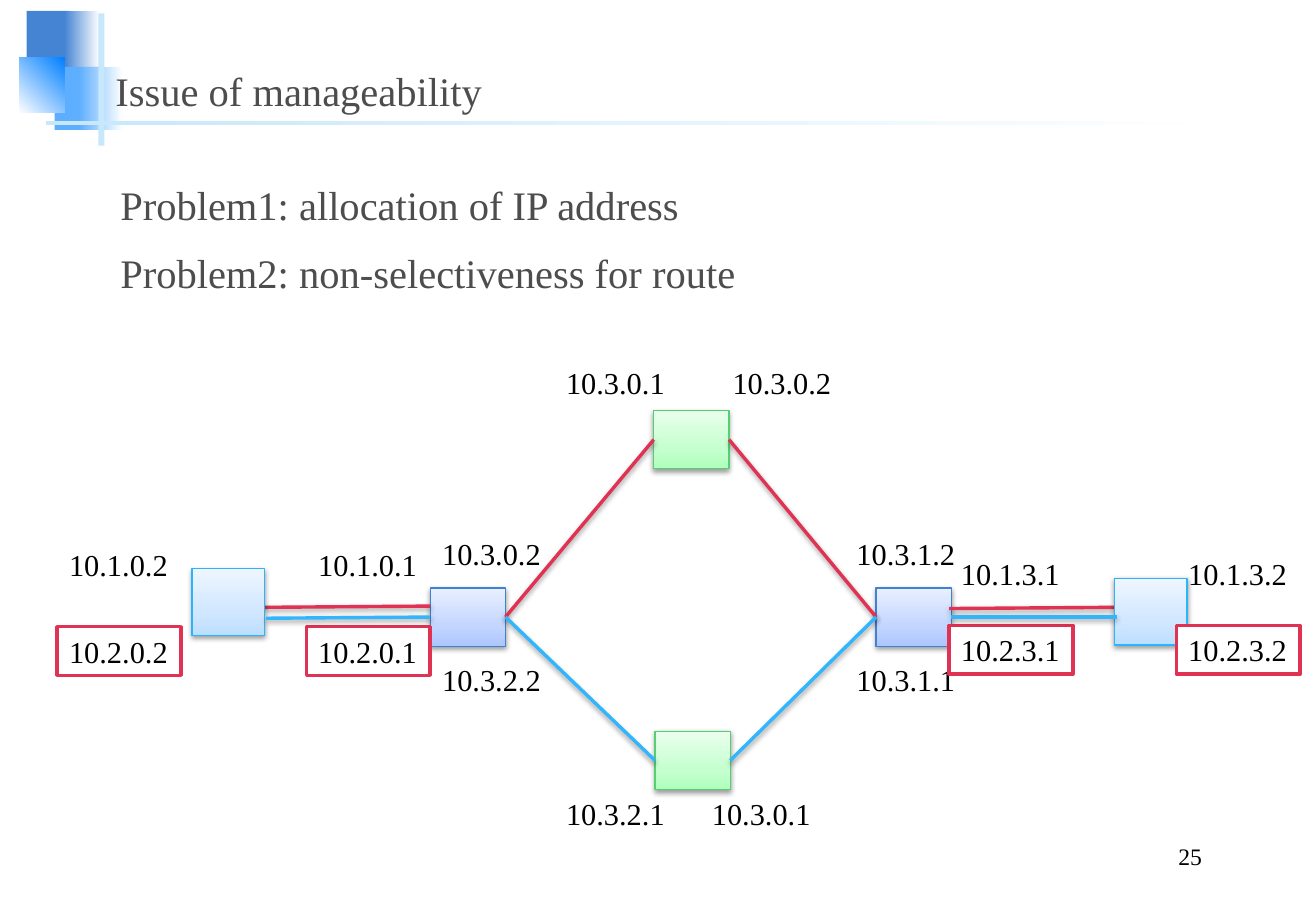
import lxml.etree
import pptx
import pptx.dml.color
import pptx.enum.shapes
import pptx.enum.text
import pptx.oxml.ns
import pptx.util

PX = 9144
FONT = "Times New Roman"
COLORS = {
    "navy": "4584D3", "sky": "5EAEFF", "azure": "0080FF", "pale": "C6E7FC",
    "white": "FFFFFF", "gray": "4D4D4D", "black": "000000",
    "red": "E03253", "blue": "31B6FD",
    "hub_line": "4081D2", "relay_line": "56CE74", "host_line": "2BB4FC",
    "hub_dark": "ACC6FF", "hub_mid": "C4D6FF", "hub_light": "E9EFFF",
    "relay_dark": "AEFFBC", "relay_mid": "C6FFCF", "relay_light": "E9FFEC",
    "host_dark": "BDDEFF", "host_mid": "D1E7FF", "host_light": "EEF6FF",
}
qn = pptx.oxml.ns.qn
sub = lxml.etree.SubElement
ALIGN = pptx.enum.text.PP_ALIGN
ANCHOR = pptx.enum.text.MSO_ANCHOR
FIT = pptx.enum.text.MSO_AUTO_SIZE
RECT = pptx.enum.shapes.MSO_SHAPE.RECTANGLE
STRAIGHT = pptx.enum.shapes.MSO_CONNECTOR.STRAIGHT
TOP, LEFT, BOTTOM, RIGHT = range(4)


def rgb(name):
    return pptx.dml.color.RGBColor.from_string(COLORS[name])


class Deck:
    def __init__(self, width, height):
        self.prs = pptx.Presentation()
        self.prs.slide_width, self.prs.slide_height = width * PX, height * PX
        self.slide = self.prs.slides.add_slide(self.prs.slide_layouts[1])
        self.shapes = self.slide.shapes

    def style(self, p, size, color):
        for r in p.runs:
            r.font.size = pptx.util.Pt(size)
            r.font.name = FONT
            r.font.color.rgb = rgb(color)

    def outline(self, s, color, width):
        s.line.color.rgb = rgb(color)
        s.line.width = pptx.util.Pt(width)

    def drop_shadow(self, s):
        effects = s._element.spPr.find(qn("a:effectLst"))
        if effects is None:
            effects = sub(s._element.spPr, qn("a:effectLst"))
        shadow = sub(effects, qn("a:outerShdw"), blurRad="40000",
                     dist="20000", dir="5400000", rotWithShape="0")
        color = sub(shadow, qn("a:srgbClr"), val=COLORS["black"])
        sub(color, qn("a:alpha"), val="38000")

    def rect(self, x, y, w, h, stops, angle=0):
        s = self.shapes.add_shape(RECT, x * PX, y * PX, w * PX, h * PX)
        s.shadow.inherit = False
        s.line.fill.background()
        if len(stops) == 1:
            s.fill.solid()
            s.fill.fore_color.rgb = rgb(stops[0])
            return s
        s.fill.gradient()
        s.fill.gradient_angle = angle
        stop_list = s._element.spPr.find(".//" + qn("a:gsLst"))
        stop_list.clear()
        positions = (0, 100) if len(stops) == 2 else (0, 35, 100)
        for position, name in zip(positions, stops):
            gs = sub(stop_list, qn("a:gs"), pos=str(position * 1000))
            sub(gs, qn("a:srgbClr"), val=COLORS[name])
        return s

    def node(self, kind, x, y, w, h):
        stops = [f"{kind}_{tone}" for tone in ("dark", "mid", "light")]
        s = self.rect(x, y, w, h, stops, 90)
        self.outline(s, f"{kind}_line", 0.75)
        self.drop_shadow(s)
        return s

    def link(self, color, x1=0, y1=0, x2=0, y2=0, begin=None, end=None):
        s = self.shapes.add_connector(STRAIGHT, x1 * PX, y1 * PX, x2 * PX, y2 * PX)
        if begin:
            s.begin_connect(*begin)
        if end:
            s.end_connect(*end)
        self.outline(s, color, 2)
        self.drop_shadow(s)

    def textbox(self, text, x, y, w, h, size):
        s = self.shapes.add_textbox(x * PX, y * PX, w * PX, h * PX)
        s.text_frame.text = text
        self.style(s.text_frame.paragraphs[0], size, "black")
        return s

    def address(self, text, x, y, boxed=False):
        s = self.textbox(text, x, y, 102, 40, 18)
        s.text_frame.word_wrap = False
        s.text_frame.auto_size = FIT.SHAPE_TO_FIT_TEXT
        if boxed:
            s.fill.solid()
            s.fill.fore_color.rgb = rgb("white")
            self.outline(s, "red", 2)

    def placeholder(self, index, lines, x, y, w, h, anchor):
        s = self.slide.placeholders[index]
        s.left, s.top, s.width, s.height = x * PX, y * PX, w * PX, h * PX
        self.shapes._spTree.append(s._element)
        tf = s.text_frame
        tf.text = "\n".join(lines)
        tf.auto_size = FIT.NONE
        tf.vertical_anchor = anchor
        for p in tf.paragraphs:
            pPr = p._p.get_or_add_pPr()
            pPr.set("marL", "0")
            pPr.set("indent", "0")
            sub(pPr, qn("a:buNone"))
            p.alignment = ALIGN.LEFT
            p.space_before = pptx.util.Pt(0)
            self.style(p, 24, "gray")
        return tf


def main():
    deck = Deck(1083, 750)

    for x, y, w, h, stops, angle in (
        (22, 9, 35, 52, ["navy"], 0),
        (53, 9, 29, 52, ["navy", "white"], 0),
        (45, 55, 41, 52, ["sky"], 0),
        (65, 55, 36, 52, ["sky", "white"], 0),
        (16, 47, 37, 46, ["white", "azure"], 45),
        (81, 11, 5, 109, ["pale"], 0),
        (38, 100, 975, 3, ["pale", "white"], 0),
    ):
        deck.rect(x, y, w, h, stops, angle)

    deck.placeholder(0, ["Issue of manageability"], 85, 36, 929, 63, ANCHOR.BOTTOM)
    problems = ["Problem1: allocation of IP address",
                "Problem2: non-selectiveness for route"]
    tf = deck.placeholder(1, problems, 89, 127, 906, 532, ANCHOR.TOP)
    tf.margin_top = 13 * PX
    for p in tf.paragraphs:
        p.line_spacing = 1.2
    tf.paragraphs[1].space_before = pptx.util.Pt(6)

    number = deck.textbox("25", 773, 690, 226, 31, 14).text_frame
    number.word_wrap = True
    number.vertical_anchor = ANCHOR.BOTTOM
    number.paragraphs[0].alignment = ALIGN.RIGHT

    hub_left = deck.node("hub", 354, 484, 62, 48)
    hub_right = deck.node("hub", 721, 484, 62, 48)
    relay_top = deck.node("relay", 538, 338, 62, 48)
    relay_bottom = deck.node("relay", 539, 602, 62, 48)

    for relay, color in ((relay_top, "red"), (relay_bottom, "blue")):
        deck.link(color, begin=(relay, LEFT), end=(hub_left, RIGHT))
        deck.link(color, begin=(relay, RIGHT), end=(hub_right, LEFT))

    deck.link("red", 354, 499, 217, 500)
    deck.link("red", 917, 500, 781, 501)

    deck.node("host", 158, 468, 60, 55)
    deck.node("host", 917, 476, 60, 55)

    for text, x, y in (
        ("10.3.0.1", 456, 295), ("10.3.0.2", 593, 295),
        ("10.3.0.2", 354, 436), ("10.3.1.2", 695, 436),
        ("10.3.2.2", 354, 539), ("10.3.1.1", 695, 539),
        ("10.3.2.1", 456, 650), ("10.3.0.1", 576, 650),
        ("10.1.0.2", 47, 445), ("10.1.0.1", 252, 445),
        ("10.1.3.1", 781, 452), ("10.1.3.2", 968, 452),
    ):
        deck.address(text, x, y)

    for text, x, y in (
        ("10.2.0.2", 47, 516), ("10.2.0.1", 252, 516),
        ("10.2.3.1", 781, 515), ("10.2.3.2", 968, 515),
    ):
        deck.address(text, x, y, boxed=True)

    deck.link("blue", x2=219, y2=509, begin=(hub_left, LEFT))
    deck.link("blue", 919, 508, end=(hub_right, RIGHT))

    deck.prs.save("out.pptx")


if __name__ == "__main__":
    main()
